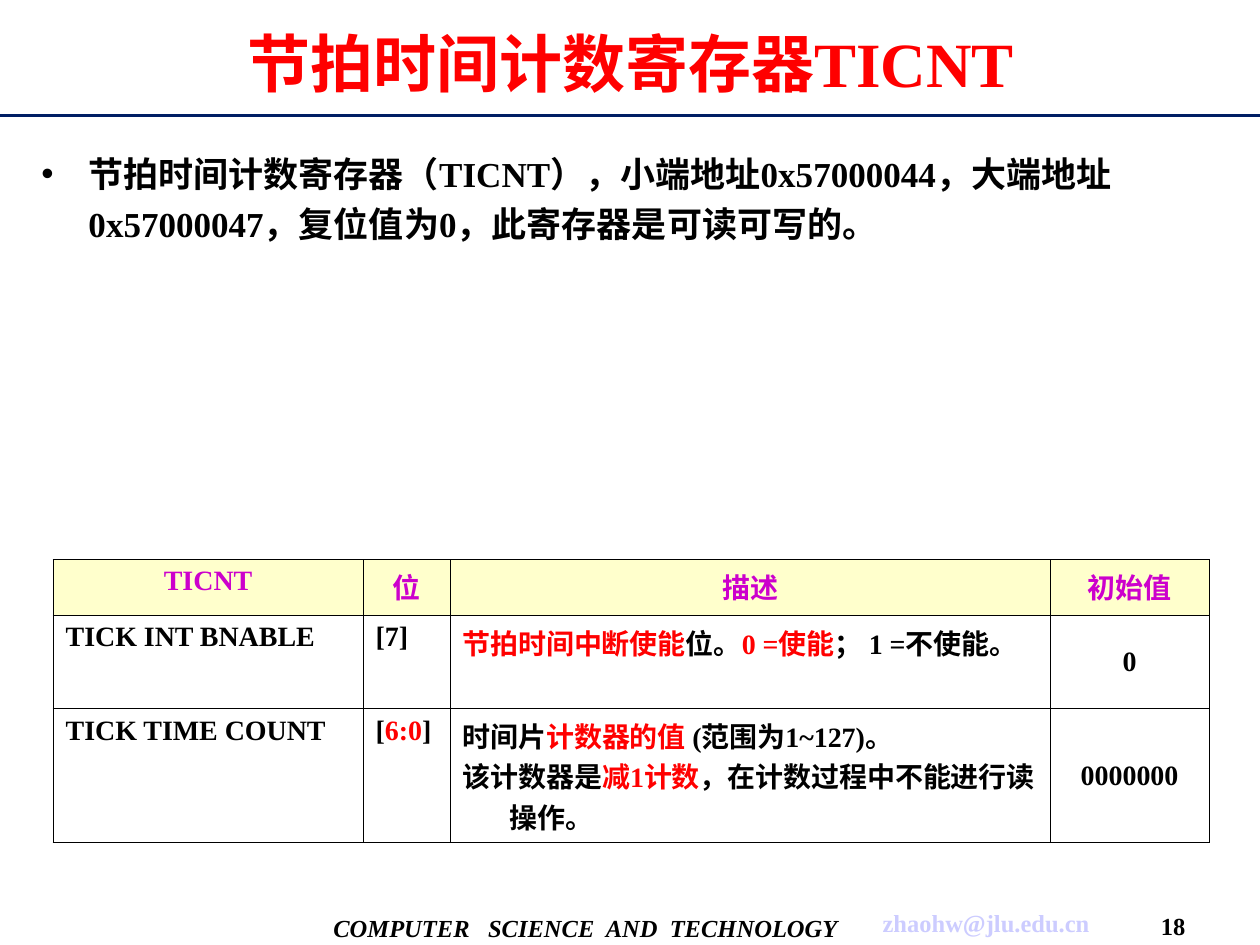
from lxml.etree import SubElement
from pptx import Presentation
from pptx.dml.color import RGBColor
from pptx.enum.shapes import MSO_CONNECTOR as Connector
from pptx.enum.text import MSO_ANCHOR as Anchor, PP_ALIGN as Align
from pptx.oxml.ns import qn
from pptx.util import Cm, Pt

LATIN, CHINESE = "Times New Roman", "Noto Sans CJK SC"
BLACK, RED, PURPLE, NAVY = "000000", "FF0000", "CC00CC", "001E64"
CREAM, WHITE, LAVENDER = "FFFFCC", "FFFFFF", "CCCCFF"
HANGING = 0.95

TITLE = "节拍时间计数寄存器TICNT"
BODY = ("节拍时间计数寄存器（TICNT），小端地址0x57000044，大端地址0x57000047，"
        "复位值为0，此寄存器是可读可写的。")
# text, left, top, width, height, format
FOOTERS = [
    ("COMPUTER   SCIENCE  AND  TECHNOLOGY", 6.56, 18.16, 10.5, 1.07, {"color": BLACK, "italic": True}),
    ("zhaohw@jlu.edu.cn", 17.58, 18.14, 4.6, 0.91, {"color": LAVENDER}),
    ("18", 23.09, 18.26, 1.12, 0.79, {"color": BLACK}),
]
HEADERS = ["TICNT", "位", "描述", "初始值"]
# each cell is a list of paragraphs, each paragraph a list of (text, colour)
ROWS = [
    [
        [[("TICK INT BNABLE", BLACK)]],
        [[("[7]", BLACK)]],
        [[("节拍时间中断使能", RED), ("位。", BLACK), ("0 =", RED), ("使能", RED),
          ("； ", BLACK), ("1 =", BLACK), ("不使能。", BLACK)]],
        [[("0", BLACK)]],
    ],
    [
        [[("TICK TIME COUNT", BLACK)]],
        [[("[", BLACK), ("6:0", RED), ("]", BLACK)]],
        [[("时间片", BLACK), ("计数器的值 ", RED), ("(", BLACK), ("范围为", BLACK),
          ("1~127)", BLACK), ("。", BLACK)],
         [("该计数器是", BLACK), ("减", RED), ("1", RED), ("计数", RED),
          ("，在计数过程中不能进行读操作。", BLACK)]],
        [[("0000000", BLACK)]],
    ],
]
COLUMN_WIDTHS = [6.25, 1.75, 12.1, 3.2]
ROW_HEIGHTS = [1.13, 1.88, 2.69]


def rgb(color):
    return RGBColor.from_string(color)


def add_run(paragraph, text, color, size, name=LATIN, **formats):
    run = paragraph.add_run()
    run.text = text
    values = {"name": name, "size": Pt(size), "bold": True, **formats}
    for attribute, value in values.items():
        setattr(run.font, attribute, value)
    run.font.color.rgb = rgb(color)
    SubElement(run.font._element, qn("a:ea"), typeface=CHINESE)


def hang(paragraph):
    """Indent every line but the first and keep punctuation inside the margin."""
    properties = paragraph._p.get_or_add_pPr()
    properties.set("marL", str(Cm(HANGING)))
    properties.set("indent", str(-Cm(HANGING)))
    properties.set("hangingPunct", "0")
    return properties


def place(shape, left, top, width, height):
    sides = {"left": left, "top": top, "width": width, "height": height}
    for attribute, value in sides.items():
        setattr(shape, attribute, Cm(value))


def add_rule(slide):
    rule = slide.shapes.add_connector(Connector.STRAIGHT, 0, Cm(2.33), Cm(25.4), Cm(2.33))
    rule.line.color.rgb = rgb(NAVY)
    rule.line.width = Pt(1.75)
    SubElement(rule._element.spPr, qn("a:effectLst"))


def add_footer(slide, text, left, top, width, height, formats):
    box = slide.shapes.add_textbox(Cm(left), Cm(top), Cm(width), Cm(height))
    frame = box.text_frame
    frame.word_wrap = False
    frame.margin_left = frame.margin_right = 0
    frame.vertical_anchor = Anchor.MIDDLE
    paragraph = frame.paragraphs[0]
    paragraph.alignment = Align.CENTER
    add_run(paragraph, text, size=14, **formats)


def fill_title(title):
    place(title, 0.81, 0.2, 23.8, 2.11)
    title.text_frame.vertical_anchor = Anchor.MIDDLE
    paragraph = title.text_frame.paragraphs[0]
    paragraph.alignment = Align.CENTER
    add_run(paragraph, TITLE, RED, 36)


def fill_body(body):
    place(body, 0.58, 2.77, 24.26, 4.5)
    paragraph = body.text_frame.paragraphs[0]
    properties = hang(paragraph)
    SubElement(SubElement(properties, qn("a:buClr")), qn("a:srgbClr"), val=BLACK)
    SubElement(properties, qn("a:buChar"), char="•")
    paragraph.line_spacing = 1.2
    paragraph.space_before = Pt(0)
    add_run(paragraph, BODY, BLACK, 20)


def draw_borders(cell):
    properties = cell._tc.get_or_add_tcPr()
    for index, side in enumerate(("lnL", "lnR", "lnT", "lnB")):
        line = properties.makeelement(qn(f"a:{side}"), {"w": str(Pt(0.45))})
        fill = SubElement(line, qn("a:solidFill"))
        SubElement(fill, qn("a:srgbClr"), val=BLACK)
        properties.insert(index, line)


def fill_cell(cell, paragraphs, is_header, is_value):
    cell.fill.solid()
    cell.fill.fore_color.rgb = rgb(CREAM if is_header else WHITE)
    cell.vertical_anchor = Anchor.MIDDLE if is_value and not is_header else Anchor.TOP
    draw_borders(cell)
    frame = cell.text_frame
    for index, runs in enumerate(paragraphs):
        paragraph = frame.add_paragraph() if index else frame.paragraphs[0]
        hang(paragraph)
        paragraph.alignment = Align.CENTER if is_header or is_value else Align.LEFT
        for text, color in runs:
            is_chinese = not is_header and ord(text[0]) > 0x2E80
            add_run(paragraph, text, color, 16, CHINESE if is_chinese else LATIN)


def add_register_table(slide):
    rows = [[[[(header, PURPLE)]] for header in HEADERS]] + ROWS
    table = slide.shapes.add_table(
        len(rows), len(HEADERS), Cm(1.07), Cm(11.28),
        Cm(sum(COLUMN_WIDTHS)), Cm(sum(ROW_HEIGHTS))).table
    for column, width in zip(table.columns, COLUMN_WIDTHS):
        column.width = Cm(width)
    for row, height in zip(table.rows, ROW_HEIGHTS):
        row.height = Cm(height)
    last = len(HEADERS) - 1
    for r, row in enumerate(rows):
        for c, paragraphs in enumerate(row):
            fill_cell(table.cell(r, c), paragraphs, r == 0, c == last)


def main():
    presentation = Presentation()
    presentation.slide_width, presentation.slide_height = Cm(25.4), Cm(19.05)
    slide = presentation.slides.add_slide(presentation.slide_layouts[1])
    add_rule(slide)
    for footer in FOOTERS:
        add_footer(slide, *footer)
    fill_title(slide.shapes.title)
    fill_body(slide.placeholders[1])
    add_register_table(slide)
    presentation.save("out.pptx")


if __name__ == "__main__":
    main()
